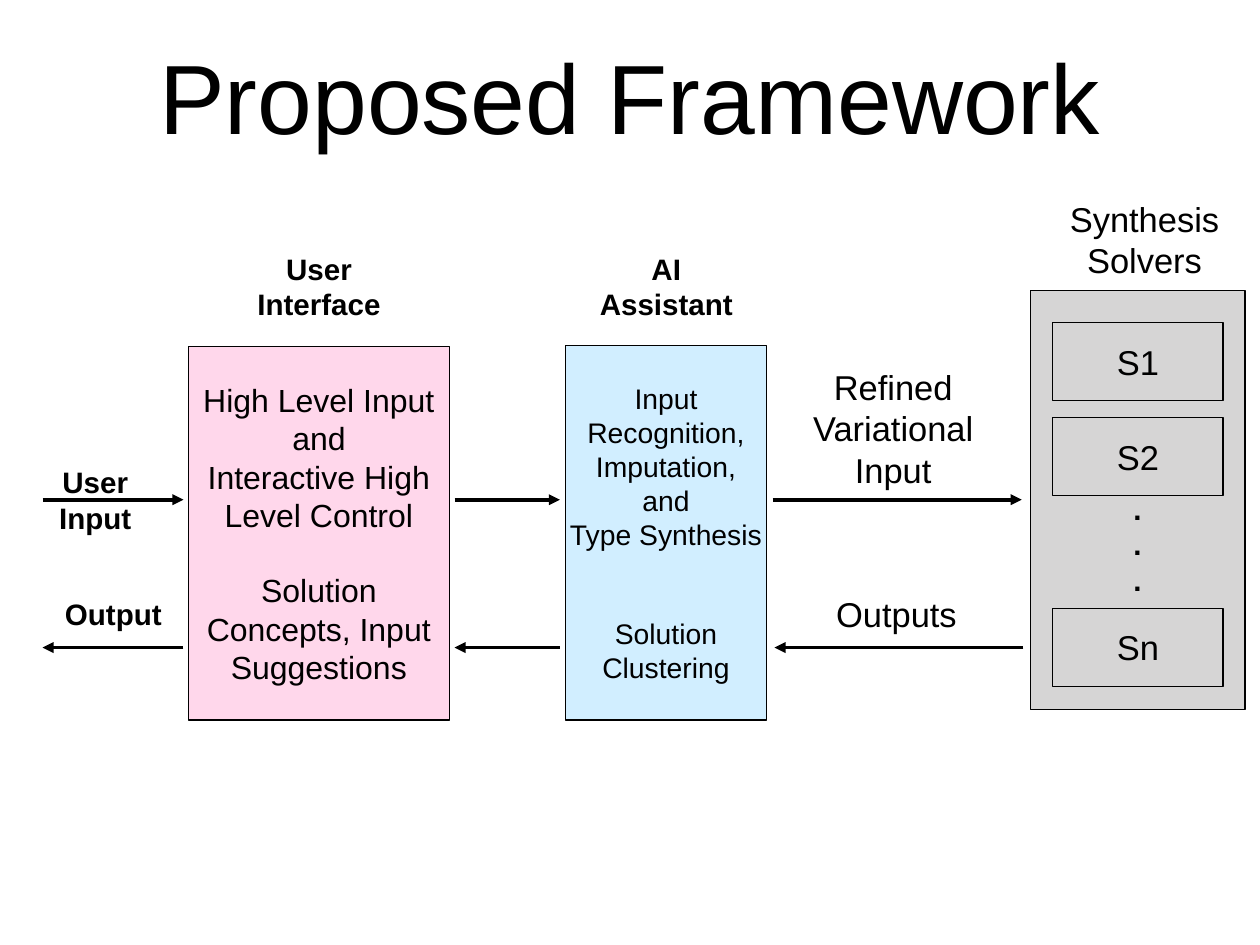
from dataclasses import dataclass

from lxml.etree import SubElement
from pptx import Presentation
from pptx.dml.color import RGBColor
from pptx.enum.shapes import MSO_CONNECTOR, MSO_SHAPE
from pptx.enum.text import MSO_ANCHOR, MSO_AUTO_SIZE, PP_ALIGN
from pptx.oxml.ns import qn
from pptx.slide import Slide
from pptx.text.text import TextFrame
from pptx.util import Cm, Pt


@dataclass(frozen=True)
class Theme:
    font: str = "Arial"
    ink: str = "000000"
    grey: str = "D6D5D5"
    pink: str = "FFB3D9"
    blue: str = "55C1FF"
    title: int = 80
    large: int = 28
    body: int = 26
    head: int = 24
    small: int = 23
    edge: int = 1
    arrow: int = 3


THEME = Theme()


@dataclass(frozen=True)
class Area:
    left: float
    top: float
    width: float
    height: float

    def lengths(self) -> tuple[Cm, Cm, Cm, Cm]:
        return Cm(self.left), Cm(self.top), Cm(self.width), Cm(self.height)


@dataclass(frozen=True)
class Box:
    area: Area
    fill: str
    blocks: tuple[str, ...] = ()
    size: int = THEME.large
    gap: float = 0
    alpha: int = 100


@dataclass(frozen=True)
class Label:
    area: Area
    text: str
    size: int = THEME.large
    bold: bool = False
    inset: float = 0.13
    wrap: bool = True


@dataclass(frozen=True)
class Arrow:
    start: float
    end: float
    lane: float


INPUT_LANE, OUTPUT_LANE = 14.33, 18.57
SOLVER_TOP, SOLVER_STEP = 9.25, 2.73
SOLVERS = {"S1": 0, "S2": 1, "Sn": 3}

BOXES = [
    Box(Area(29.54, 8.33, 6.15, 12.01), THEME.grey),
    Box(Area(5.41, 9.93, 7.47, 10.72), THEME.pink,
        ("High Level Input\nand\nInteractive High Level Control",
         "Solution Concepts, Input Suggestions"),
        THEME.body, gap=30, alpha=52),
    Box(Area(16.21, 9.91, 5.77, 10.74), THEME.blue,
        ("Input Recognition,\nImputation,\nand\nType Synthesis",
         "Solution Clustering"),
        THEME.small, gap=53, alpha=27),
    *(Box(Area(30.18, SOLVER_TOP + slot * SOLVER_STEP, 4.88, 2.24),
          THEME.grey, (name,))
      for name, slot in SOLVERS.items()),
]

LABELS = [
    Label(Area(6.4, 7.06, 5.49, 2.29), "User Interface", THEME.head, True),
    Label(Area(16.74, 7.06, 4.72, 2.29), "AI Assistant", THEME.head, True),
    Label(Area(0.61, 13.18, 4.24, 2.29), "User Input", THEME.head, True),
    Label(Area(0.89, 16.99, 4.72, 1.24), "Output", THEME.head, True),
    Label(Area(22.15, 10.36, 6.91, 3.84), "Refined Variational\nInput"),
    Label(Area(23.34, 16.89, 4.72, 1.42), "Outputs"),
    Label(Area(30.45, 5.54, 4.72, 2.64), "Synthesis\nSolvers"),
    Label(Area(32.21, 13.94, 0.79, 3.33), ".\n.\n.", THEME.head, True,
          inset=0.15, wrap=False),
]

ARROWS = [
    Arrow(1.22, 5.26, INPUT_LANE),
    Arrow(13.03, 16.05, INPUT_LANE),
    Arrow(22.15, 29.29, INPUT_LANE),
    Arrow(29.34, 22.2, OUTPUT_LANE),
    Arrow(16.05, 13.03, OUTPUT_LANE),
    Arrow(5.26, 1.22, OUTPUT_LANE),
]


def write(frame: TextFrame, *blocks: str, size: int, bold: bool = False,
          inset: float = 0.13, wrap: bool = True, gap: float = 0,
          fit: MSO_AUTO_SIZE = MSO_AUTO_SIZE.NONE) -> None:
    """Centre the lines of each block, with a gap in points between blocks."""
    frame.word_wrap = wrap
    frame.auto_size = fit
    frame.vertical_anchor = MSO_ANCHOR.MIDDLE
    frame.margin_left = frame.margin_right = Cm(inset)
    frame.margin_top = frame.margin_bottom = Cm(inset)
    lines = [(line, gap if block and not row else 0)
             for block, text in enumerate(blocks)
             for row, line in enumerate(text.split("\n"))]
    for index, (line, space) in enumerate(lines):
        para = frame.add_paragraph() if index else frame.paragraphs[0]
        para.alignment = PP_ALIGN.CENTER
        if space:
            para.space_before = Pt(space)
        run = para.add_run()
        run.text = line
        run.font.name = THEME.font
        run.font.size = Pt(size)
        run.font.bold = bold
        run.font.color.rgb = RGBColor.from_string(THEME.ink)


def draw_box(slide: Slide, box: Box) -> None:
    shape = slide.shapes.add_shape(MSO_SHAPE.RECTANGLE, *box.area.lengths())
    shape.shadow.inherit = False
    shape.fill.solid()
    shape.fill.fore_color.rgb = RGBColor.from_string(box.fill)
    if box.alpha < 100:
        color = shape.element.spPr.find(f"{qn('a:solidFill')}/{qn('a:srgbClr')}")
        SubElement(color, qn("a:alpha"), val=str(box.alpha * 1000))
    shape.line.color.rgb = RGBColor.from_string(THEME.ink)
    shape.line.width = Pt(THEME.edge)
    if box.blocks:
        write(shape.text_frame, *box.blocks, size=box.size, inset=0, gap=box.gap)


def draw_label(slide: Slide, label: Label) -> None:
    shape = slide.shapes.add_textbox(*label.area.lengths())
    write(shape.text_frame, label.text, size=label.size, bold=label.bold,
          inset=label.inset, wrap=label.wrap,
          fit=MSO_AUTO_SIZE.SHAPE_TO_FIT_TEXT)


def draw_arrow(slide: Slide, arrow: Arrow) -> None:
    line = slide.shapes.add_connector(
        MSO_CONNECTOR.STRAIGHT, Cm(arrow.start), Cm(arrow.lane),
        Cm(arrow.end), Cm(arrow.lane))
    line.line.color.rgb = RGBColor.from_string(THEME.ink)
    line.line.width = Pt(THEME.arrow)
    props = line.element.spPr
    SubElement(props.find(qn("a:ln")), qn("a:tailEnd"), type="triangle")
    SubElement(props, qn("a:effectLst"))


def main() -> None:
    deck = Presentation()
    deck.slide_width, deck.slide_height = Cm(36.12), Cm(27.1)
    slide = deck.slides.add_slide(deck.slide_layouts[5])
    title = slide.shapes.title
    title.left, title.top, title.width, title.height = Area(
        2.64, 0.48, 30.84, 4.5).lengths()
    write(title.text_frame, "Proposed Framework", size=THEME.title)
    for box in BOXES:
        draw_box(slide, box)
    for label in LABELS:
        draw_label(slide, label)
    for arrow in ARROWS:
        draw_arrow(slide, arrow)
    deck.save("out.pptx")


if __name__ == "__main__":
    main()
